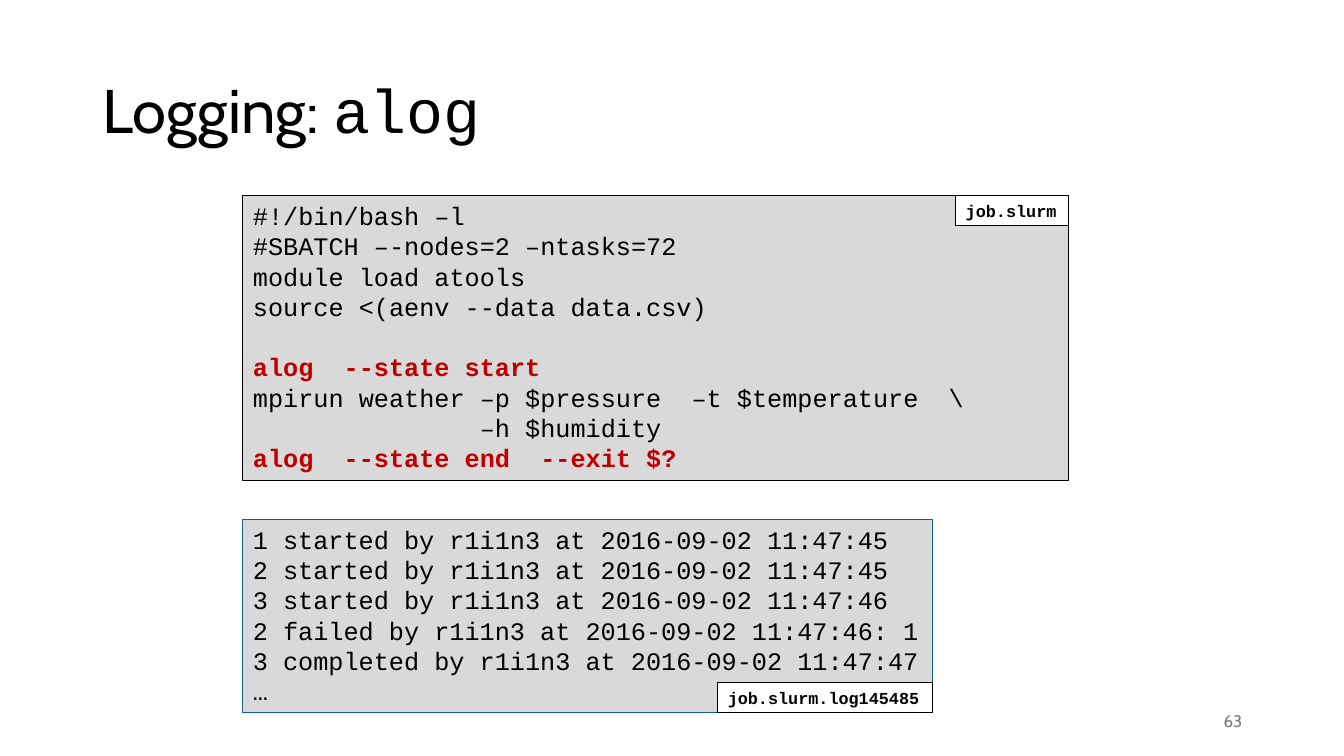
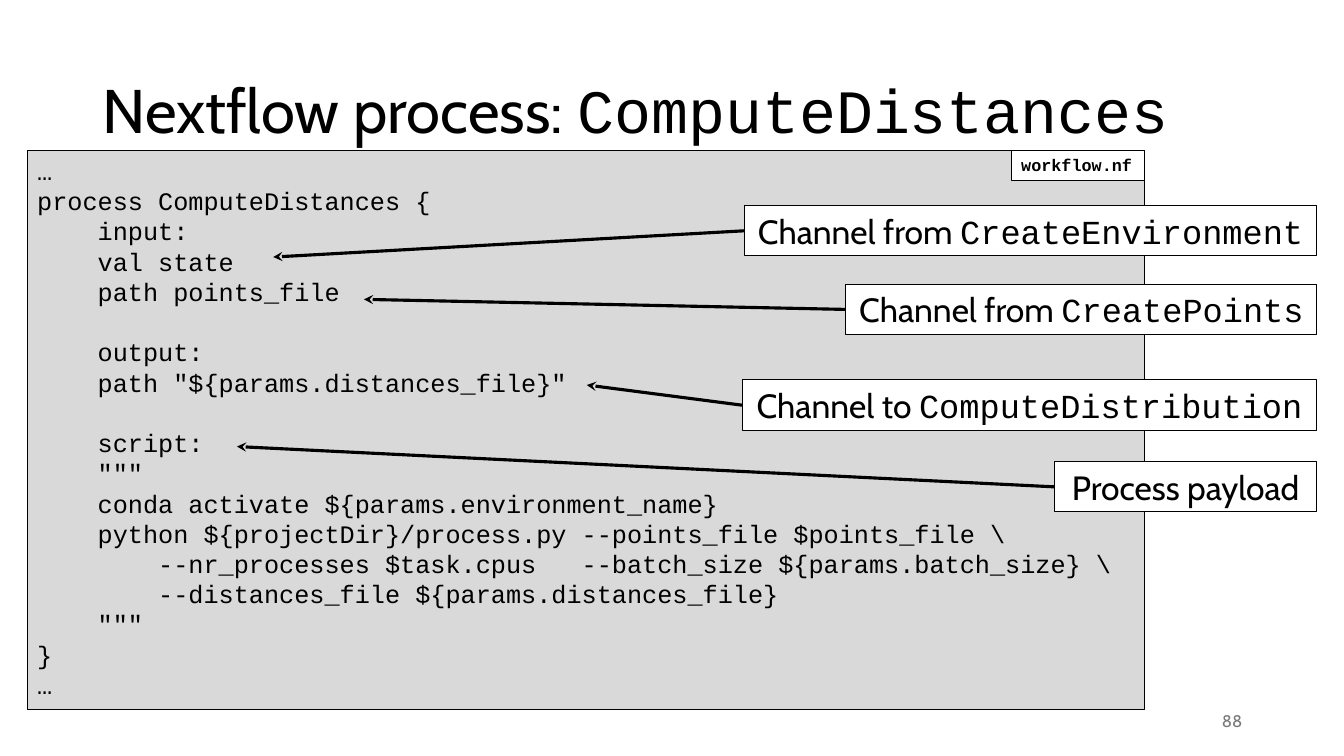
from dataclasses import dataclass

import pptx
import pptx.dml.color
import pptx.enum.shapes
import pptx.enum.text
import pptx.oxml
import pptx.oxml.ns
import pptx.shapes.autoshape
import pptx.slide
import pptx.text.text
import pptx.util

Inches = pptx.util.Inches
Pt = pptx.util.Pt
RGBColor = pptx.dml.color.RGBColor
Align = pptx.enum.text.PP_ALIGN
Anchor = pptx.enum.text.MSO_ANCHOR

# Shared style
BLACK = RGBColor(0x00, 0x00, 0x00)
WHITE = RGBColor(0xFF, 0xFF, 0xFF)
PANEL_GRAY = RGBColor(0xD9, 0xD9, 0xD9)
PAGE_GRAY = RGBColor(0x79, 0x79, 0x79)
LOG_BLUE = RGBColor(0x15, 0x60, 0x82)
HIGHLIGHT = RGBColor(0xC0, 0x00, 0x00)
SANS = "Cabin"
MONO = "Courier New"
CODE_LINE = Pt(21.6)
TAG_HEIGHT = 0.3
CALLOUT_HEIGHT = 0.5
CALLOUT_RIGHT = 13.06


@dataclass
class CodePanel:
    left: float
    top: float
    width: float
    height: float
    code: str
    file_name: str
    tag_width: float
    tag_at_bottom: bool = False
    outline: RGBColor = BLACK
    highlighted: str = ""


@dataclass
class Callout:
    top: float
    width: float
    words: str
    process: str
    target: tuple[float, float]


# Slide content
JOB_SCRIPT = r'''#!/bin/bash –l
#SBATCH –-nodes=2 –ntasks=72
module load atools
source <(aenv --data data.csv)

alog  --state start
mpirun weather –p $pressure  –t $temperature  \
               –h $humidity
alog  --state end  --exit $?'''

JOB_LOG = '''1 started by r1i1n3 at 2016-09-02 11:47:45
2 started by r1i1n3 at 2016-09-02 11:47:45
3 started by r1i1n3 at 2016-09-02 11:47:46
2 failed by r1i1n3 at 2016-09-02 11:47:46: 1
3 completed by r1i1n3 at 2016-09-02 11:47:47
…'''

WORKFLOW = r'''…
process ComputeDistances {
    input:
    val state
    path points_file

    output:
    path "${params.distances_file}"

    script:
    """
    conda activate ${params.environment_name}
    python ${projectDir}/process.py --points_file $points_file \
        --nr_processes $task.cpus   --batch_size ${params.batch_size} \
        --distances_file ${params.distances_file}
    """
}
…'''

LOGGING_PANELS = [
    CodePanel(2.41, 1.94, 8.19, 2.83, JOB_SCRIPT, "job.slurm", 1.12, highlighted="alog"),
    CodePanel(2.41, 5.15, 6.84, 1.92, JOB_LOG, "job.slurm.log145485", 2.13,
              tag_at_bottom=True, outline=LOG_BLUE),
]
WORKFLOW_PANEL = CodePanel(0.27, 1.49, 11.08, 5.55, WORKFLOW, "workflow.nf", 1.32)
CALLOUTS = [
    Callout(2.04, 5.68, "Channel from ", "CreateEnvironment", (2.71, 2.55)),
    Callout(2.82, 4.67, "Channel from ", "CreatePoints", (3.61, 2.97)),
    Callout(3.77, 5.70, "Channel to ", "ComputeDistribution", (5.82, 3.82)),
    Callout(4.58, 2.60, "Process payload", "", (2.35, 4.43)),
]


def add_run(paragraph: pptx.text.text._Paragraph, text: str, size: float, font: str,
            color: RGBColor = BLACK, bold: bool = False) -> None:
    run = paragraph.add_run()
    run.text = text
    run.font.size = Pt(size)
    run.font.name = font
    run.font.bold = bold
    run.font.color.rgb = color


def add_label(slide: pptx.slide.Slide, left: float, top: float, width: float,
              height: float) -> pptx.text.text.TextFrame:
    label = slide.shapes.add_textbox(Inches(left), Inches(top), Inches(width), Inches(height))
    frame = label.text_frame
    frame.word_wrap = True
    frame.vertical_anchor = Anchor.MIDDLE
    return frame


def add_box(slide: pptx.slide.Slide, left: float, top: float, width: float, height: float,
            fill: RGBColor = WHITE, outline: RGBColor = BLACK, wrap: bool = False,
            align: Align = Align.LEFT) -> pptx.shapes.autoshape.Shape:
    box = slide.shapes.add_shape(pptx.enum.shapes.MSO_SHAPE.RECTANGLE, Inches(left),
                                 Inches(top), Inches(width), Inches(height))
    box.shadow.inherit = False
    box.fill.solid()
    box.fill.fore_color.rgb = fill
    box.line.color.rgb = outline
    box.line.width = Pt(0.75)
    box.text_frame.word_wrap = wrap
    box.text_frame.vertical_anchor = Anchor.TOP
    box.text_frame.paragraphs[0].alignment = align
    return box


def add_code_panel(slide: pptx.slide.Slide, panel: CodePanel) -> None:
    box = add_box(slide, panel.left, panel.top, panel.width, panel.height,
                  PANEL_GRAY, panel.outline, wrap=True)
    frame = box.text_frame
    paragraph, gap = frame.paragraphs[0], False
    for number, line in enumerate(panel.code.splitlines()):
        if not line:
            gap = True
            continue
        if number:
            paragraph = frame.add_paragraph()
            paragraph.alignment = Align.LEFT
        if gap:
            paragraph.space_before = CODE_LINE
            gap = False
        marked = bool(panel.highlighted) and line.startswith(panel.highlighted)
        add_run(paragraph, line, 18, MONO, HIGHLIGHT if marked else BLACK, marked)

    # File name in the right corner
    tag_top = panel.top + (panel.height - TAG_HEIGHT if panel.tag_at_bottom else 0)
    tag = add_box(slide, panel.left + panel.width - panel.tag_width, tag_top,
                  panel.tag_width, TAG_HEIGHT)
    add_run(tag.text_frame.paragraphs[0], panel.file_name, 12, MONO, bold=True)


def add_callout(slide: pptx.slide.Slide, callout: Callout) -> None:
    left = CALLOUT_RIGHT - callout.width
    box = add_box(slide, left, callout.top, callout.width, CALLOUT_HEIGHT, align=Align.CENTER)
    paragraph = box.text_frame.paragraphs[0]
    add_run(paragraph, callout.words, 24, SANS)
    if callout.process:
        add_run(paragraph, callout.process, 24, MONO)

    # Arrow from the callout to its code line
    target_x, target_y = callout.target
    arrow = slide.shapes.add_connector(
        pptx.enum.shapes.MSO_CONNECTOR.STRAIGHT, Inches(left),
        Inches(callout.top + CALLOUT_HEIGHT / 2), Inches(target_x), Inches(target_y))
    arrow.begin_connect(box, 1)
    arrow.line.color.rgb = BLACK
    arrow.line.width = Pt(2.25)
    namespace = pptx.oxml.ns.nsdecls("a")
    arrow.line._get_or_add_ln().append(
        pptx.oxml.parse_xml(f'<a:tailEnd {namespace} type="stealth"/>'))
    arrow._element.spPr.append(pptx.oxml.parse_xml(f"<a:effectLst {namespace}/>"))


def add_slide(deck: pptx.presentation.Presentation, topic: str, code_name: str,
              page: int) -> pptx.slide.Slide:
    slide = deck.slides.add_slide(deck.slide_layouts[6])
    title = add_label(slide, 0.92, 0.4, 11.5, 1.45).paragraphs[0]
    title.line_spacing = 0.9
    add_run(title, topic, 44, SANS)
    add_run(title, code_name, 44, MONO)
    page_number = add_label(slide, 9.42, 6.95, 3, 0.4).paragraphs[0]
    page_number.alignment = Align.RIGHT
    add_run(page_number, str(page), 12, SANS, PAGE_GRAY)
    return slide


def main() -> None:
    deck = pptx.Presentation()
    deck.slide_width = Inches(13.33)
    deck.slide_height = Inches(7.5)

    # Logging
    logging_slide = add_slide(deck, "Logging: ", "alog", 63)
    for panel in LOGGING_PANELS:
        add_code_panel(logging_slide, panel)

    # Workflow process
    process_slide = add_slide(deck, "Nextflow process: ", "ComputeDistances", 88)
    add_code_panel(process_slide, WORKFLOW_PANEL)
    for callout in CALLOUTS:
        add_callout(process_slide, callout)

    deck.save("out.pptx")


if __name__ == "__main__":
    main()
